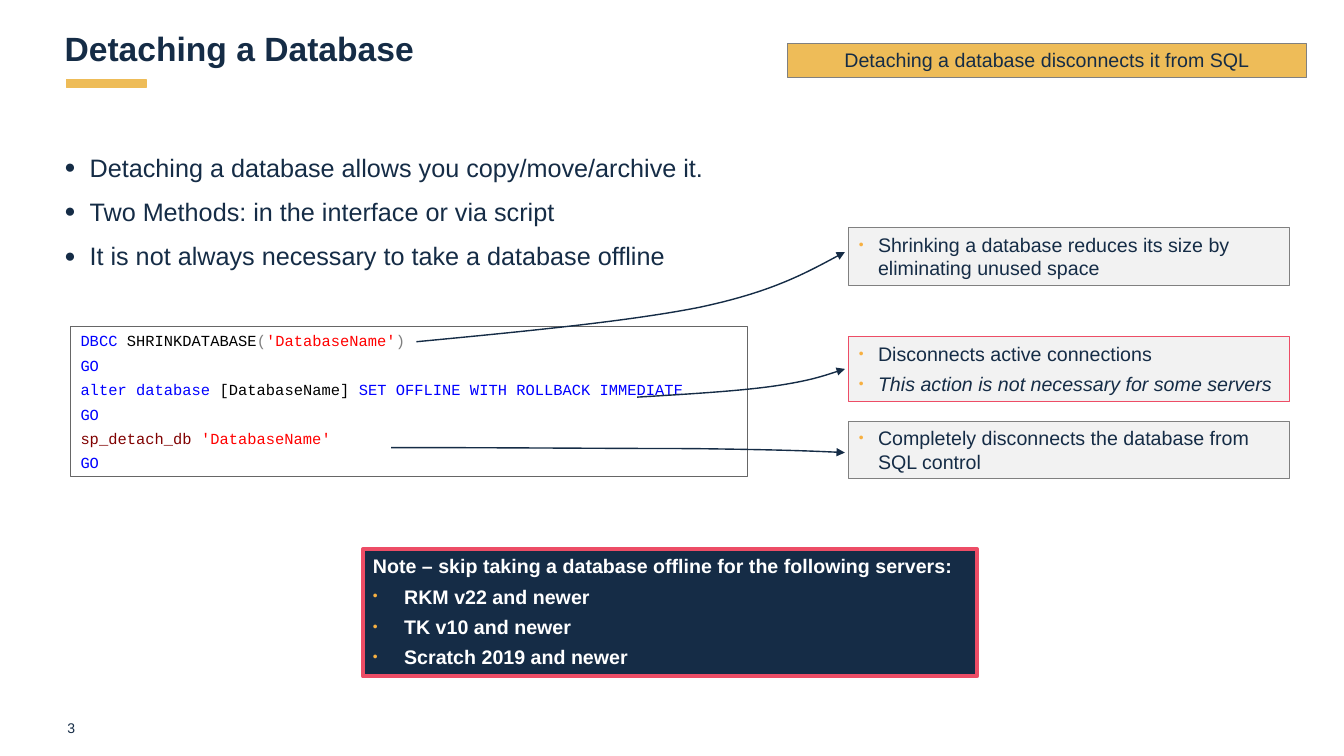
import pptx
import pptx.util
import pptx.dml.color
import pptx.enum.shapes
import pptx.enum.text
import pptx.oxml
import pptx.oxml.ns
from lxml import etree
from pptx.util import Inches

THEME = {
    "navy": "152C46", "gold": "EEBC58", "dot": "F7B041", "red": "ED4D66",
    "pale": "F2F2F2", "grey": "808080", "edge": "666666", "white": "FFFFFF",
    "key": "0000FF", "name": "000000", "mark": "808080", "string": "FF0000", "proc": "800000",
    "font": "Arial", "mono": "Courier New",
    "title": 24, "body": 18, "note": 14, "code": 11, "page": 10,
}

TITLE = "Detaching a Database"
BANNER = "Detaching a database disconnects it from SQL"
POINTS = [
    "Detaching a database allows you copy/move/archive it.",
    "Two Methods: in the interface or via script",
    "It is not always necessary to take a database offline",
]
GO = [("GO", "key")]
CODE = [
    [("DBCC ", "key"), ("SHRINKDATABASE", "name"), ("(", "mark"),
     ("'DatabaseName'", "string"), (")", "mark")],
    GO,
    [("alter database ", "key"), ("[DatabaseName] ", "name"),
     ("SET OFFLINE WITH ROLLBACK IMMEDIATE", "key")],
    GO,
    [("sp_detach_db ", "proc"), ("'DatabaseName'", "string")],
    GO,
]
# top, height, edge colour, lines, curve from the code to the callout
CALLS = [
    (2.26, 0.57, "grey", ["Shrinking a database reduces its size by eliminating unused space"],
     [(4.13, 3.39), (5.18, 3.29), (6.22, 3.19), (6.93, 3.05),
      (7.64, 2.9), (8.01, 2.7), (8.38, 2.5)]),
    (3.34, 0.64, "red", ["Disconnects active connections",
                         "This action is not necessary for some servers"],
     [(6.32, 3.94), (6.83, 3.91), (7.33, 3.88), (7.68, 3.83),
      (8.02, 3.78), (8.2, 3.72), (8.38, 3.66)]),
    (4.18, 0.57, "grey", ["Completely disconnects the database from SQL control"],
     [(3.88, 4.44), (4.99, 4.44), (6.1, 4.45), (6.85, 4.45),
      (7.6, 4.46), (7.99, 4.47), (8.38, 4.49)]),
]
NOTE = "Note – skip taking a database offline for the following servers:"
SERVERS = ["RKM v22 and newer", "TK v10 and newer", "Scratch 2019 and newer"]


def tint(name):
    return pptx.dml.color.RGBColor.from_string(THEME[name])


def write(frame, text, size="note", color="navy", font="font", bold=False, italic=False,
          align="LEFT", gap=4.8, bullet=None):
    """Add one paragraph; text is a string or (text, colour) runs,
    bullet is (sign, colour, size in percent, indent in inches)."""
    para = frame.paragraphs[0]
    if para.runs:
        para = frame.add_paragraph()
    para.alignment = getattr(pptx.enum.text.PP_ALIGN, align)
    para.space_before = pptx.util.Pt(gap)
    for words, hue in [(text, color)] if isinstance(text, str) else text:
        run = para.add_run()
        run.text = words
        run.font.name = THEME[font]
        run.font.size = pptx.util.Pt(THEME[size])
        run.font.bold, run.font.italic = bold, italic
        run.font.color.rgb = tint(hue)
    if bullet:
        sign, hue, scale, indent = bullet
        props = para._p.get_or_add_pPr()
        props.set("marL", str(Inches(indent)))
        props.set("indent", str(-Inches(indent)))
        ns = pptx.oxml.ns.qn
        etree.SubElement(etree.SubElement(props, ns("a:buClr")), ns("a:srgbClr"), val=THEME[hue])
        etree.SubElement(props, ns("a:buSzPct"), val=str(scale * 1000))
        etree.SubElement(props, ns("a:buFont"), typeface=THEME["font"])
        etree.SubElement(props, ns("a:buChar"), char=sign)


def box(slide, place, edge, fill=None, width=0.75):
    shape = slide.shapes.add_shape(pptx.enum.shapes.MSO_SHAPE.RECTANGLE, *map(Inches, place))
    shape.shadow.inherit = False
    if fill:
        shape.fill.solid()
        shape.fill.fore_color.rgb = tint(fill)
    else:
        shape.fill.background()
    shape.line.color.rgb = tint(edge)
    shape.line.width = pptx.util.Pt(width)
    shape.text_frame.word_wrap = True
    shape.text_frame.vertical_anchor = pptx.enum.text.MSO_ANCHOR.TOP
    return shape.text_frame


def label(slide, place):
    frame = slide.shapes.add_textbox(*map(Inches, place)).text_frame
    frame.word_wrap = True
    return frame


def curve(slide, points):
    """Draw an arrow through cubic curves: a start, then three points for each curve."""
    dots = [(round(x * 100), round(y * 100)) for x, y in points]
    maker = slide.shapes.build_freeform(*dots[0], scale=Inches(0.01))
    maker.add_line_segments(dots[1:], close=False)
    shape = maker.convert_to_shape()
    shape.shadow.inherit = False
    shape.fill.background()
    shape.line.color.rgb = tint("navy")
    shape.line.width = pptx.util.Pt(1)
    ns = pptx.oxml.ns.qn
    steps = list(shape._element.iter(ns("a:lnTo")))
    track = steps[0].getparent()
    for start in range(0, len(steps), 3):
        bend = etree.SubElement(track, ns("a:cubicBezTo"))
        for step in steps[start:start + 3]:
            bend.append(step[0])
            track.remove(step)
    etree.SubElement(shape.line._get_or_add_ln(), ns("a:tailEnd"), type="triangle")


def main():
    deck = pptx.Presentation()
    deck.slide_width, deck.slide_height = Inches(13.33), Inches(7.5)
    slide = deck.slides.add_slide(deck.slide_layouts[5])

    title = slide.shapes.title
    title.left, title.top, title.width, title.height = map(Inches, (0.54, 0.25, 12.21, 0.46))
    title.text_frame.vertical_anchor = pptx.enum.text.MSO_ANCHOR.MIDDLE
    write(title.text_frame, TITLE, size="title", bold=True, gap=0)
    box(slide, (0.66, 0.79, 0.79, 0.08), "gold", "gold", 1)

    page = label(slide, (0.57, 7.1, 0.79, 0.25))
    page.vertical_anchor = pptx.enum.text.MSO_ANCHOR.MIDDLE
    write(page, "3", size="page", gap=0)

    body = label(slide, (0.54, 1.46, 12.21, 1.5))
    for point in POINTS:
        write(body, point, size="body", gap=10, bullet=("●", "navy", 75, 0.25))

    write(box(slide, (7.81, 0.43, 5.15, 0.34), "grey", "gold"), BANNER, align="CENTER")

    code = box(slide, (0.7, 3.24, 6.71, 1.49), "edge")
    for line in CODE:
        write(code, line, size="code", font="mono", gap=4.2)

    for top, height, edge, lines, points in CALLS:
        call = box(slide, (8.42, top, 4.37, height), edge, "pale")
        for row, line in enumerate(lines):
            write(call, line, italic=row > 0, bullet=("•", "dot", 70, 0.19))
        curve(slide, points)

    note = box(slide, (3.6, 5.45, 6.09, 1.26), "red", "navy", 3)
    write(note, NOTE, color="white", bold=True)
    for server in SERVERS:
        write(note, server, color="white", bold=True, bullet=("•", "dot", 70, 0.31))

    deck.save("out.pptx")


if __name__ == "__main__":
    main()
